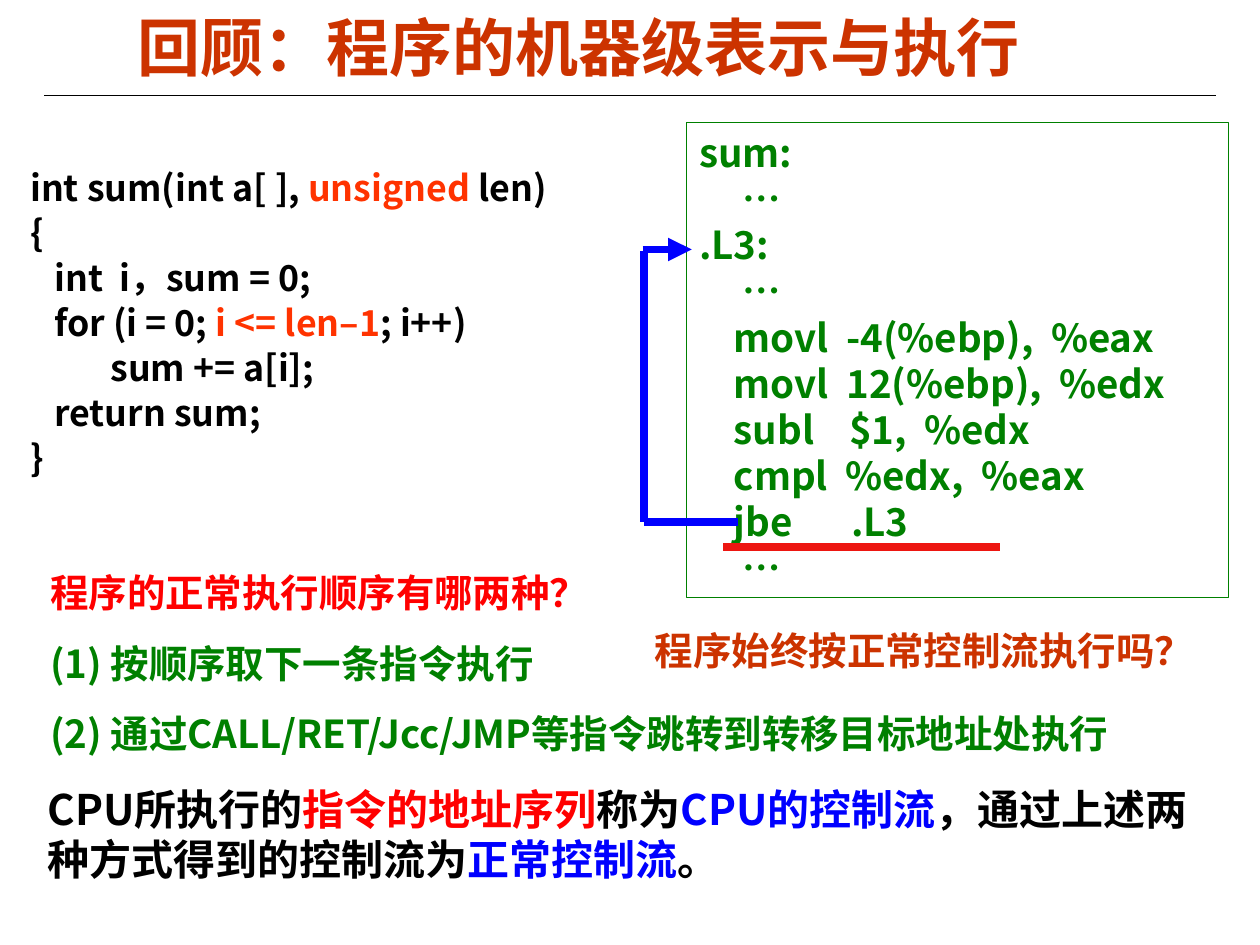
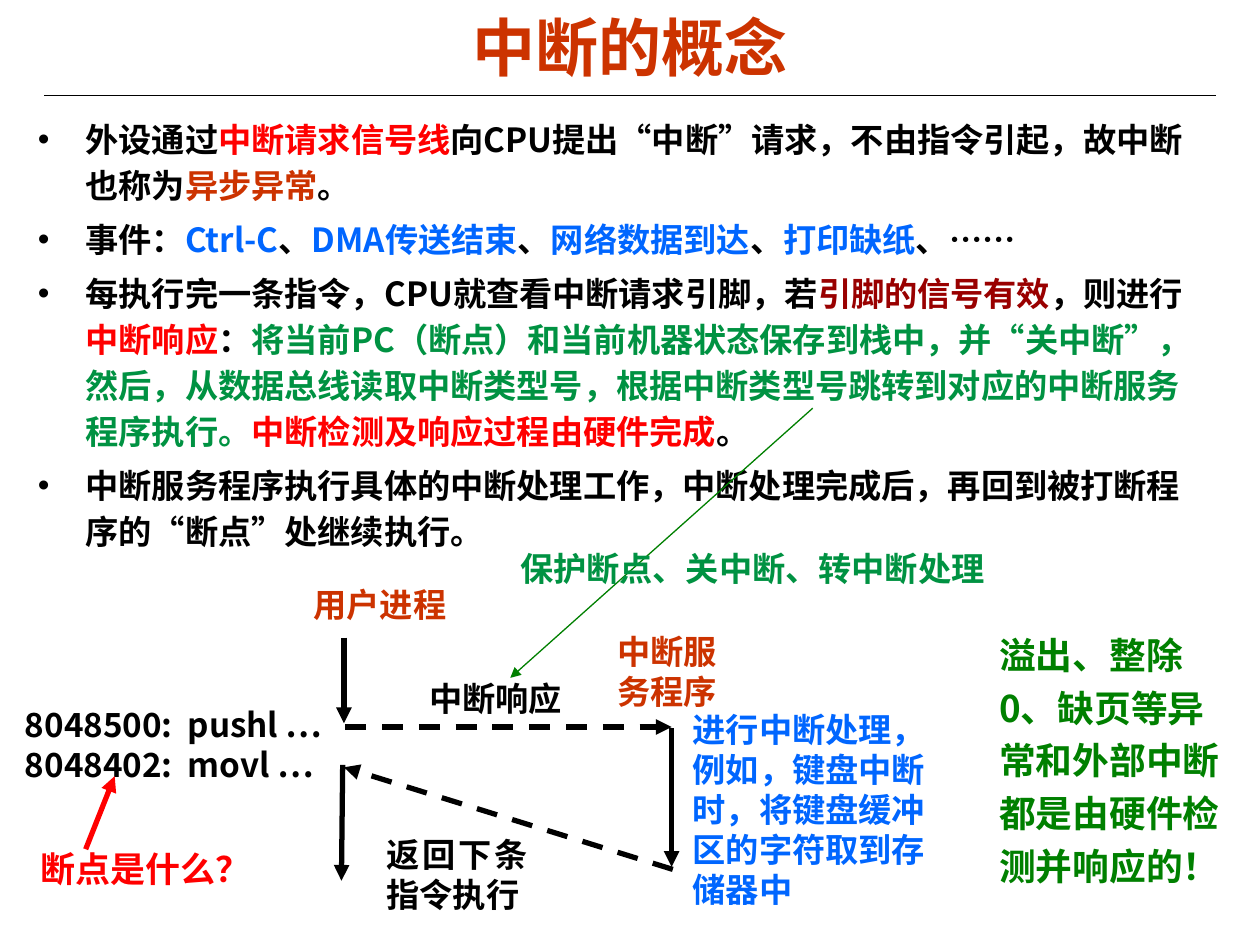
from dataclasses import dataclass

from lxml import etree
from pptx import Presentation
from pptx.dml.color import RGBColor
from pptx.enum.dml import MSO_LINE
from pptx.enum.shapes import MSO_CONNECTOR, MSO_SHAPE
from pptx.enum.text import MSO_ANCHOR, MSO_AUTO_SIZE, PP_ALIGN
from pptx.oxml.ns import qn
from pptx.util import Inches, Pt

STRAIGHT = MSO_CONNECTOR.STRAIGHT
RECTANGLE = MSO_SHAPE.RECTANGLE
DASH = MSO_LINE.DASH
TOP, MIDDLE = MSO_ANCHOR.TOP, MSO_ANCHOR.MIDDLE
LEFT, CENTER, JUSTIFY = PP_ALIGN.LEFT, PP_ALIGN.CENTER, PP_ALIGN.JUSTIFY
NO_AUTOFIT = MSO_AUTO_SIZE.NONE
TITLE_AND_CONTENT = 1


@dataclass(frozen=True)
class Theme:
    # Colours
    black: str = "000000"
    white: str = "FFFFFF"
    rust: str = "CC3300"
    orange: str = "FF3300"
    red: str = "FF0000"
    underline: str = "ED1611"
    dark_red: str = "990000"
    green: str = "008000"
    emerald: str = "009242"
    blue: str = "0000FF"
    sky: str = "0066FF"
    # Fonts
    heading_font: str = "Arial"
    text_font: str = "Noto Sans CJK SC"
    # Type sizes
    title: float = 36
    summary: float = 24
    question: float = 22
    remark: float = 21
    code: float = 20.4
    hint: float = 20
    text: float = 19
    # Line widths
    thin: float = 0.75
    medium: float = 3
    thick: float = 4.5


THEME = Theme()


class SlideBuilder:
    """Holds the theme and the slide being built."""

    def __init__(self, deck, theme):
        self.deck = deck
        self.theme = theme
        self.page = None

    def start_page(self, title, area):
        layout = self.deck.slide_layouts[TITLE_AND_CONTENT]
        self.page = self.deck.slides.add_slide(layout)
        self.line((0.35, 0.76), (9.65, 0.76), self.theme.black, self.theme.thin)
        shape = self.page.shapes.title
        self.place(shape, area)
        self.set_text(shape, [title], self.theme.title, self.theme.rust,
                      font=self.theme.heading_font, align=CENTER, anchor=MIDDLE)
        return shape

    def place(self, shape, area):
        shape.left, shape.top, shape.width, shape.height = map(Inches, area)

    def body(self, area, paragraphs, size, **style):
        shape = self.page.placeholders[1]
        self.place(shape, area)
        self.set_text(shape, paragraphs, size, self.theme.black, hang=0.38, **style)

    def text(self, area, paragraphs, size, color, **style):
        box = self.page.shapes.add_textbox(*map(Inches, area))
        self.set_text(box, paragraphs, size, color, **style)

    def frame(self, area, paragraphs, size, color):
        shape = self.page.shapes.add_shape(RECTANGLE, *map(Inches, area))
        shape.shadow.inherit = False
        shape.fill.background()
        shape.line.color.rgb = RGBColor.from_string(color)
        shape.line.width = Pt(self.theme.thin)
        self.set_text(shape, paragraphs, size, color, anchor=MIDDLE)

    def line(self, start, end, color, width, arrow=False, dashed=False):
        connector = self.page.shapes.add_connector(
            STRAIGHT, *map(Inches, (*start, *end)))
        connector.line.color.rgb = RGBColor.from_string(color)
        connector.line.width = Pt(width)
        if dashed:
            connector.line.dash_style = DASH
        if arrow:
            outline = connector._element.spPr.find(qn("a:ln"))
            etree.SubElement(outline, qn("a:tailEnd"), type="triangle")
        etree.SubElement(connector._element.spPr, qn("a:effectLst"))

    def set_text(self, shape, paragraphs, size, color, font=None, align=LEFT,
                 anchor=TOP, gap=0, spacing=1.0, hang=0, bullet=None,
                 margins=(0.1, 0.05)):
        """Each paragraph is a string or a list of strings and (text, colour)."""
        frame = shape.text_frame
        frame.word_wrap = True
        frame.auto_size = NO_AUTOFIT
        frame.vertical_anchor = anchor
        frame.margin_left = frame.margin_right = Inches(margins[0])
        frame.margin_top = frame.margin_bottom = Inches(margins[1])
        for index, content in enumerate(paragraphs):
            para = frame.add_paragraph() if index else frame.paragraphs[0]
            spans = [content] if isinstance(content, str) else content
            self.set_indent(para, hang, bullet)
            if any("\t" in span for span in spans):
                self.set_tabs(para)
            para.alignment = align
            para.line_spacing = spacing
            para.space_before = Pt(gap if index else 0)
            self.set_font(para, font or self.theme.text_font, size, color)
            for span in spans:
                words, tint = (span, None) if isinstance(span, str) else span
                run = para.add_run()
                run.text = words
                if tint:
                    run.font.color.rgb = RGBColor.from_string(tint)

    def set_indent(self, para, hang, bullet):
        props = para._p.get_or_add_pPr()
        props.set("marL", str(Inches(hang)))
        props.set("indent", str(-Inches(hang)))
        if bullet:
            etree.SubElement(props, qn("a:buFont"), typeface=self.theme.heading_font)
            etree.SubElement(props, qn("a:buChar"), char=bullet)
        else:
            etree.SubElement(props, qn("a:buNone"))

    def set_tabs(self, para):
        tabs = etree.SubElement(para._p.get_or_add_pPr(), qn("a:tabLst"))
        for inch in range(8):
            etree.SubElement(tabs, qn("a:tab"), pos=str(Inches(inch)), algn="l")

    def set_font(self, para, name, size, color):
        font = para.font
        font.name = name
        font.size = Pt(size)
        font.bold = True
        font.color.rgb = RGBColor.from_string(color)
        latin = para._p.pPr.find(qn("a:defRPr")).find(qn("a:latin"))
        east_asian = etree.Element(qn("a:ea"), typeface=self.theme.text_font)
        latin.addnext(east_asian)


def build_review(slide):
    title = slide.start_page("回顾：程序的机器级表示与执行", (0.09, 0.11, 9, 0.52))
    title.fill.solid()
    title.fill.fore_color.rgb = RGBColor.from_string(THEME.white)

    # C source and its assembly
    slide.body((0.14, 1.25, 5.55, 2.62), [
        ["int sum(int a[ ], ", ("unsigned", THEME.orange), " len)"],
        "{",
        "   int  i，sum = 0;",
        ["   for (i = 0; ", ("i <= len–1", THEME.orange), "; i++)"],
        "\t    sum += a[i];",
        "   return sum;",
        "}",
    ], THEME.code, spacing=1.05)
    slide.frame((5.45, 0.97, 4.3, 3.77), [
        "sum:",
        "     …",
        ".L3:",
        "     …",
        "    movl  -4(%ebp),  %eax",
        "    movl  12(%ebp),  %edx",
        "    subl    $1,  %edx",
        "    cmpl  %edx,  %eax",
        "    jbe\t   .L3",
        "     …",
    ], THEME.question, THEME.green)

    # Underlined jump and the way back to its label
    slide.line((5.74, 4.34), (7.94, 4.34), THEME.underline, THEME.thick)
    slide.line((5.86, 4.14), (5.11, 4.14), THEME.blue, THEME.thick)
    slide.line((5.11, 1.99), (5.11, 4.14), THEME.blue, THEME.thick)
    slide.line((5.1, 1.98), (5.49, 1.98), THEME.blue, THEME.thick, arrow=True)

    # Questions and conclusion
    slide.text((0.3, 4.47, 9.08, 1.58), [
        [("程序的正常执行顺序有哪两种？", THEME.red)],
        "(1) 按顺序取下一条指令执行",
        "(2) 通过CALL/RET/Jcc/JMP等指令跳转到转移目标地址处执行",
    ], THEME.question, THEME.green, gap=13.8)
    slide.text((0.28, 6.17, 9.39, 0.9), [[
        "CPU所执行的", ("指令的地址序列", THEME.red), "称为",
        ("CPU的控制流", THEME.blue), "，通过上述两种方式得到的控制流为",
        ("正常控制流", THEME.blue), "。",
    ]], THEME.summary, THEME.black)
    slide.text((5.1, 4.93, 4.6, 0.47), ["程序始终按正常控制流执行吗？"],
               THEME.question, THEME.rust, font=THEME.heading_font)


def build_interrupts(slide):
    slide.start_page("中断的概念", (0.5, 0.06, 9, 0.61))
    slide.body((0.2, 0.85, 9.49, 3.68), [
        ["外设通过", ("中断请求信号线", THEME.red),
         "向CPU提出“中断”请求，不由指令引起，故中断也称为",
         ("异步异常", THEME.rust), "。"],
        ["事件：", ("Ctrl-C", THEME.sky), "、", ("DMA传送结束", THEME.sky), "、",
         ("网络数据到达", THEME.sky), "、", ("打印缺纸", THEME.sky), "、……"],
        ["每执行完一条指令，CPU就查看中断请求引脚，若",
         ("引脚的信号有效", THEME.dark_red), "，则进行",
         ("中断响应", THEME.red), "：",
         ("将当前PC（断点）和当前机器状态保存到栈中，并“关中断”，然后，"
          "从数据总线读取中断类型号，根据中断类型号跳转到对应的中断服务程序执行。",
          THEME.emerald),
         ("中断检测及响应过程由硬件完成", THEME.red), "。"],
        "中断服务程序执行具体的中断处理工作，中断处理完成后，"
        "再回到被打断程序的“断点”处继续执行。",
    ], THEME.text, gap=4.8, spacing=1.15, bullet="•")

    # Remark on hardware
    slide.text((7.93, 4.95, 1.77, 2.1),
               ["溢出、整除0、缺页等异常和外部中断都是由硬件检测并响应的！"],
               THEME.remark, THEME.green, spacing=1.2, margins=(0, 0))

    # Labels of the control transfer
    slide.text((2.39, 4.64, 1.41, 0.23), ["用户进程"], THEME.text, THEME.rust,
               margins=(0.1, 0))
    labels = [
        ((4.8, 4.96, 1.08, 0.72), ["中断服务程序"], THEME.rust, LEFT),
        ((3.31, 5.33, 1.35, 0.41), ["中断响应"], THEME.black, LEFT),
        ((5.4, 5.58, 2.24, 1.68),
         ["进行中断处理，例如，键盘中断时，将键盘缓冲区的字符取到存储器中"],
         THEME.sky, LEFT),
        ((2.97, 6.57, 1.32, 0.73), ["返回下条指令执行"], THEME.black, JUSTIFY),
        ((0.1, 5.54, 2.9, 0.74), ["8048500:  pushl …", "8048402:  movl …"],
         THEME.black, JUSTIFY),
    ]
    for area, paragraphs, color, align in labels:
        slide.text(area, paragraphs, THEME.text, color, align=align)

    # Flow from the user process to the handler and back
    flow = [
        ((2.73, 5.06), (2.73, 5.74), False),
        ((2.74, 5.77), (5.33, 5.77), True),
        ((5.33, 5.78), (5.33, 6.88), False),
        ((5.34, 6.9), (2.73, 6.09), True),
        ((2.72, 6.07), (2.71, 6.99), False),
    ]
    for start, end, dashed in flow:
        slide.line(start, end, THEME.black, THEME.medium, arrow=True, dashed=dashed)

    # Breakpoint question and response note
    slide.text((0.22, 6.68, 2.08, 0.44), ["断点是什么？"], THEME.hint, THEME.red,
               font=THEME.heading_font)
    slide.line((0.68, 6.74), (0.91, 6.16), THEME.red, THEME.medium, arrow=True)
    slide.line((6.45, 3.24), (4.05, 5.38), THEME.green, THEME.thin, arrow=True)
    slide.text((4.03, 4.3, 4.4, 0.42), ["保护断点、关中断、转中断处理"],
               THEME.text, THEME.emerald, font=THEME.heading_font)


def main():
    deck = Presentation()
    deck.slide_width, deck.slide_height = Inches(10), Inches(7.5)
    slide = SlideBuilder(deck, THEME)
    build_review(slide)
    build_interrupts(slide)
    deck.save("out.pptx")


if __name__ == "__main__":
    main()
